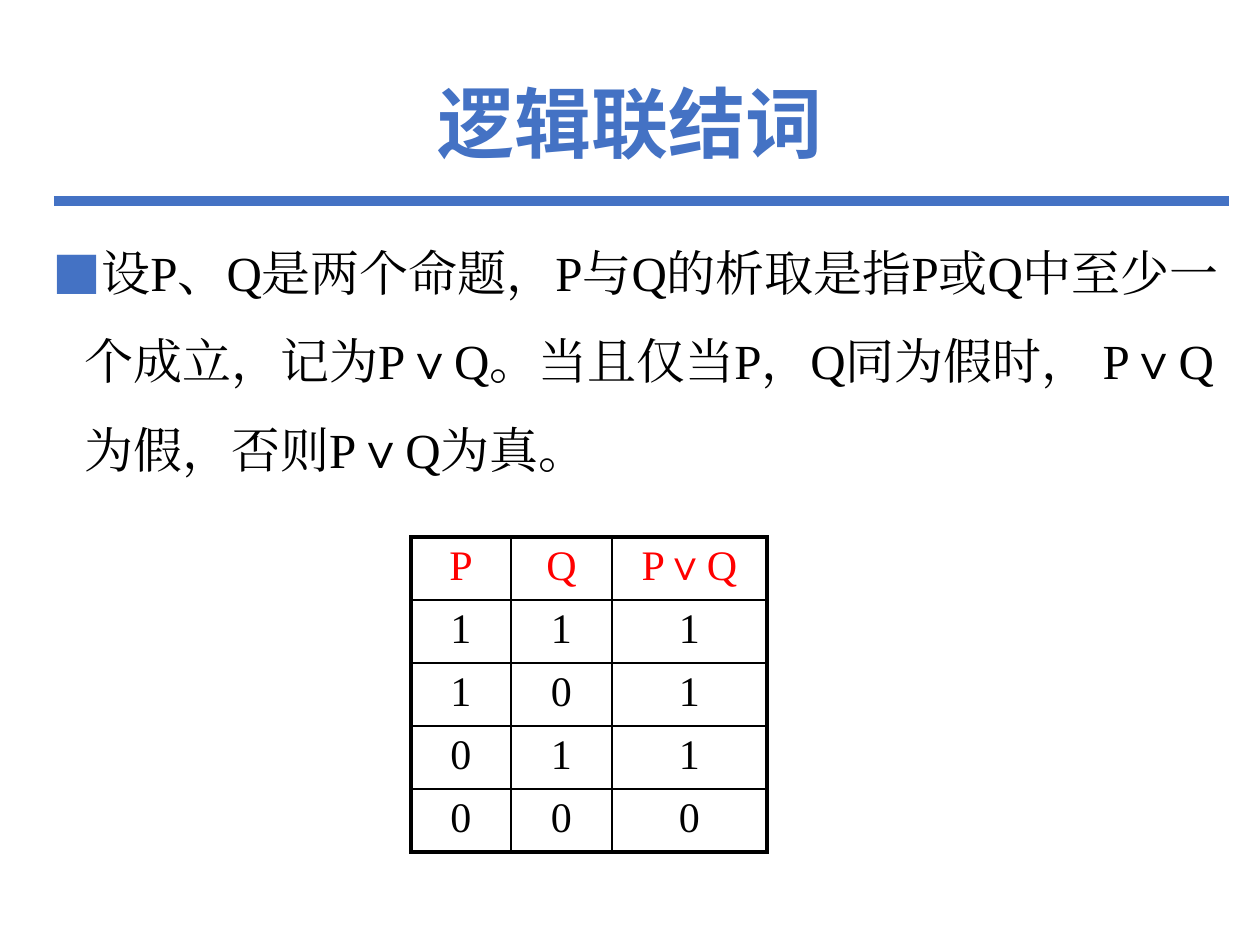
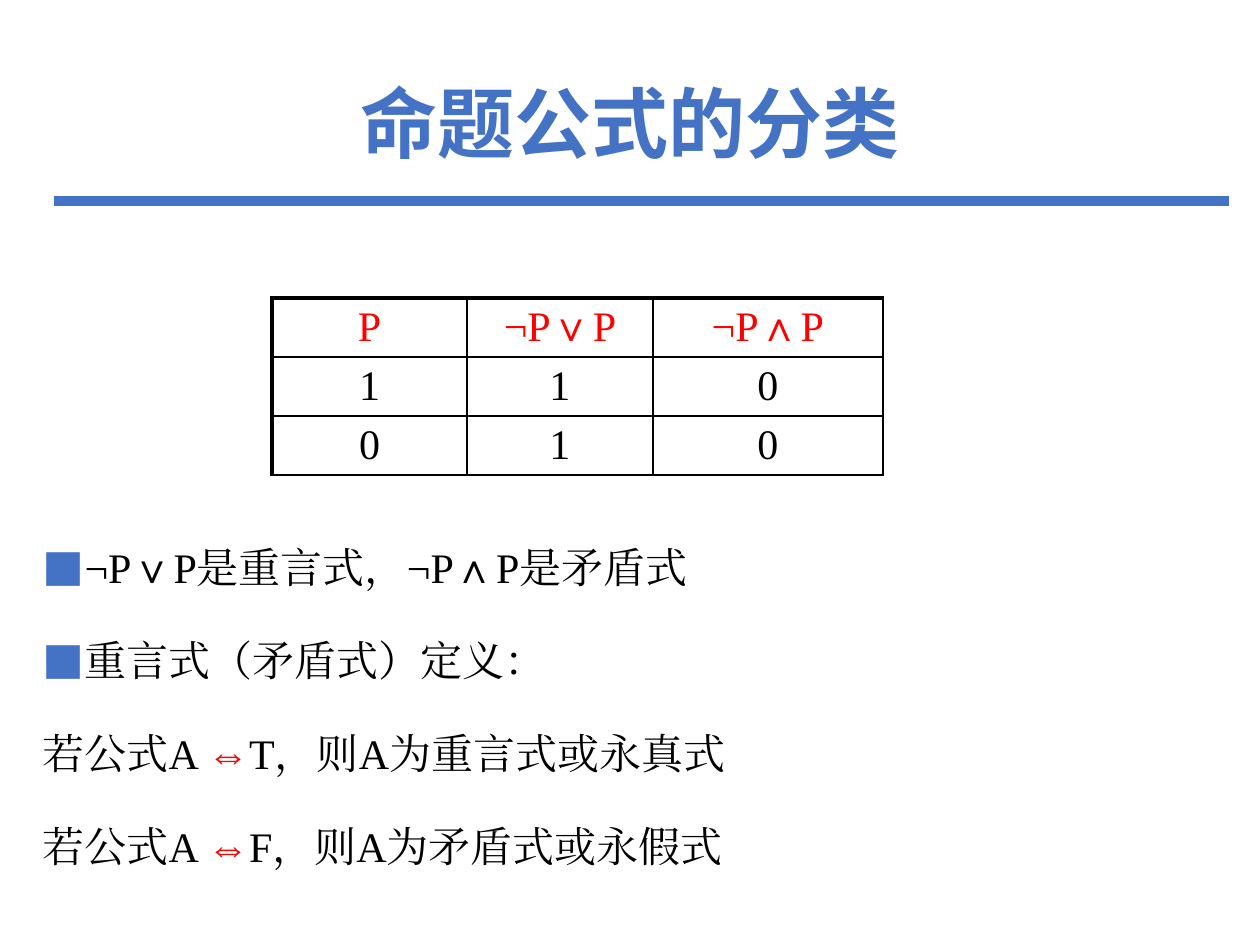
from lxml import etree
from pptx import Presentation
from pptx.dml.color import RGBColor
from pptx.enum.shapes import MSO_CONNECTOR
from pptx.enum.text import MSO_ANCHOR as ANCHOR, MSO_AUTO_SIZE, PP_ALIGN as ALIGN
from pptx.oxml.ns import qn
from pptx.util import Pt

BLUE, RED, BLACK = "4472C4", "FF0000", "000000"
SANS, SERIF = "Noto Sans CJK SC", "Times New Roman"


def px(n):
    return round(n * 914400 / 126)


def style(r, size, face, color, bold=False):
    r.font.size = Pt(size)
    r.font.name = face
    r.font.bold = bold
    r.font.color.rgb = RGBColor.from_string(color)
    ea = etree.SubElement(r.font._element, qn("a:ea"))
    ea.set("typeface", face)


slides = [
    dict(
        title="逻辑联结词",
        body=(40, 207, 1196, 694), size=28,
        lines=["■设P、Q是两个命题，P与Q的析取是指P或Q中至少一个成立，记为P∨Q。"
               "当且仅当P，Q同为假时， P∨Q为假，否则P∨Q为真。"],
        origin=(411, 537), cols=[100, 101, 155], row_height=63,
        rows=["P Q P∨Q", "1 1 1", "1 0 1", "0 1 1", "0 0 0"],
        thick="LTRB", anchor=ANCHOR.TOP, header_inset=6,
    ),
    dict(
        title="命题公式的分类",
        body=(30, 510, 1196, 400), size=24,
        lines=["■¬P∨P是重言式，¬P∧P是矛盾式", "■重言式（矛盾式）定义：",
               "若公式A ⇔T，则A为重言式或永真式", "若公式A ⇔F，则A为矛盾式或永假式"],
        origin=(272, 298), cols=[195, 186, 230], row_height=59,
        rows=["P ¬P∨P ¬P∧P", "1 1 0", "0 1 0"],
        thick="LT", anchor=ANCHOR.MIDDLE, header_inset=2,
    ),
]

prs = Presentation()
prs.slide_width, prs.slide_height = px(1260), px(945)
layout = prs.slide_layouts[1]
title = layout.placeholders[0]
title.left, title.top, title.width, title.height = map(px, (87, 50, 1086, 156))

for i, data in enumerate(slides):
    s = prs.slides.add_slide(layout)
    if i == 0:
        rule = s.shapes.add_connector(
            MSO_CONNECTOR.STRAIGHT, px(54), px(201), px(1229), px(201))
        rule.line.color.rgb = RGBColor.from_string(BLUE)
        rule.line.width = Pt(6)
        etree.SubElement(rule.element.spPr, qn("a:effectLst"))
        layout.shapes.element.append(rule.element)

    tf = s.shapes.title.text_frame
    tf.text = data["title"]
    tf.vertical_anchor = ANCHOR.MIDDLE
    p = tf.paragraphs[0]
    p.alignment = ALIGN.CENTER
    p.line_spacing = 0.9
    style(p.runs[0], 44, SANS, BLUE, bold=True)

    sp = s.placeholders[1]
    sp.left, sp.top, sp.width, sp.height = map(px, data["body"])
    tf = sp.text_frame
    tf.auto_size = MSO_AUTO_SIZE.NONE
    for j, line in enumerate(data["lines"]):
        p = tf.paragraphs[0] if j == 0 else tf.add_paragraph()
        p.line_spacing = 1.5
        p.space_before = Pt(10 if j else 0)
        pPr = p._p.get_or_add_pPr()
        bulleted = line.startswith("■")
        indent = px(32) if bulleted else 0
        pPr.set("marL", str(indent))
        pPr.set("indent", str(-indent))
        if bulleted:
            clr = etree.SubElement(pPr, qn("a:buClr"))
            etree.SubElement(clr, qn("a:srgbClr")).set("val", BLUE)
            etree.SubElement(pPr, qn("a:buFont")).set("typeface", SANS)
            etree.SubElement(pPr, qn("a:buChar")).set("char", "■")
        else:
            etree.SubElement(pPr, qn("a:buNone"))
        for part in filter(None, line.removeprefix("■").partition("⇔")):
            r = p.add_run()
            r.text = part
            style(r, data["size"], SERIF, RED if part == "⇔" else BLACK)

    rows, cols = data["rows"], data["cols"]
    x, y = data["origin"]
    table = s.shapes.add_table(
        len(rows), len(cols), px(x), px(y),
        px(sum(cols)), px(data["row_height"] * len(rows))).table
    for col, width in zip(table.columns, cols):
        col.width = px(width)
    for m, row in enumerate(rows):
        for n, text in enumerate(row.split()):
            cell = table.cell(m, n)
            cell.text = text
            cell.vertical_anchor = data["anchor"]
            cell.margin_top = cell.margin_bottom = px(6 if m else data["header_inset"])
            p = cell.text_frame.paragraphs[0]
            p.alignment = ALIGN.CENTER
            style(p.runs[0], 24, SERIF, BLACK if m else RED)
            outer = dict(L=n == 0, R=n == len(cols) - 1, T=m == 0, B=m == len(rows) - 1)
            tcPr = cell._tc.get_or_add_tcPr()
            for side, at_edge in outer.items():
                ln = etree.SubElement(tcPr, qn(f"a:ln{side}"))
                ln.set("w", str(Pt(2.25 if at_edge and side in data["thick"] else 1)))
                fill = etree.SubElement(ln, qn("a:solidFill"))
                etree.SubElement(fill, qn("a:srgbClr")).set("val", BLACK)
            cell.fill.background()

prs.save("out.pptx")
